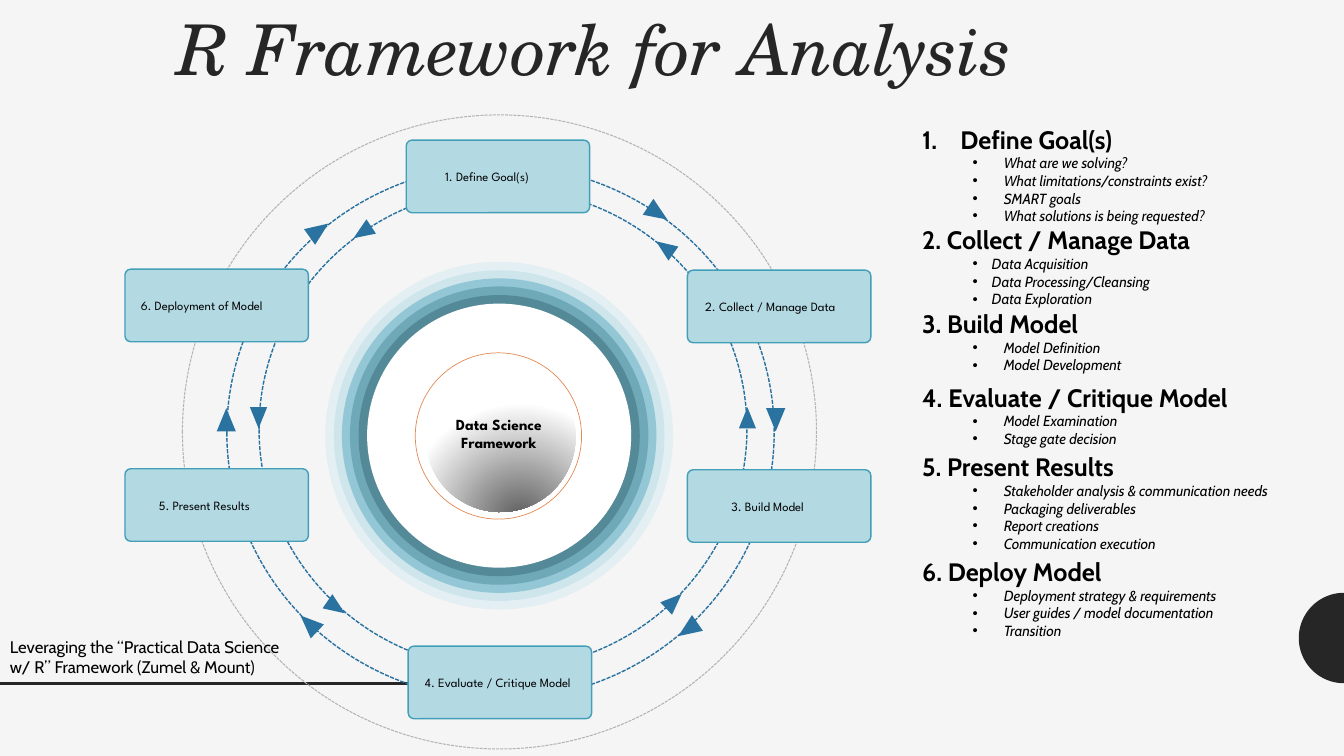
import math
from typing import NamedTuple

import pptx
import pptx.dml.color
import pptx.enum.dml
import pptx.enum.shapes
import pptx.enum.text
import pptx.oxml
import pptx.oxml.ns
import pptx.shapes.autoshape
import pptx.util
from lxml import etree

RGBColor = pptx.dml.color.RGBColor
Shape = pptx.shapes.autoshape.Shape
KIND = pptx.enum.shapes.MSO_SHAPE
ANCHOR = pptx.enum.text.MSO_ANCHOR
ALIGN = pptx.enum.text.PP_ALIGN
Pt = pptx.util.Pt
qn = pptx.oxml.ns.qn

COLS, ROWS = 160, 90
WIDE, HIGH = pptx.util.Inches(13.33), pptx.util.Inches(7.5)

PAPER = RGBColor(0xF5, 0xF5, 0xF5)
INK = RGBColor(0x26, 0x26, 0x26)
BLACK = RGBColor(0, 0, 0)
WHITE = RGBColor(0xFF, 0xFF, 0xFF)
GRAY = RGBColor(0xB3, 0xB3, 0xB3)
BLUE = RGBColor(0x29, 0x71, 0x9F)
ARROW = RGBColor(0x2A, 0x72, 0x9F)
PALE = RGBColor(0xB3, 0xD9, 0xE3)
TEAL = RGBColor(0x43, 0x9E, 0xB7)
MIST = RGBColor(0xD9, 0xEC, 0xF1)
SKY = RGBColor(0x8D, 0xC6, 0xD5)
DEEP = RGBColor(0x32, 0x76, 0x89)
DARK = RGBColor(0x22, 0x4F, 0x5C)
AMBER = RGBColor(0xE2, 0x8B, 0x55)
SERIF, SANS, ROUND = "TeX Gyre Schola", "Cabin", "League Spartan"


class Ring(NamedTuple):
    size: float
    color: RGBColor
    alpha: int


class Head(NamedTuple):
    col: float
    row: float
    turn: float


class Orbit(NamedTuple):
    col: float
    row: float
    wide: float
    high: float
    side: float
    tall: float
    heads: list[Head]


class Step(NamedTuple):
    col: float
    row: float
    inset: float
    text: str


class Topic(NamedTuple):
    row: float
    high: float
    title: str
    points: list[str]
    left: float = 0.81
    hang: float = 0.31
    auto: bool = False


INNER = Orbit(59.88, 51.06, 58.08, 57.24, 2.04, 2.52, [
    Head(80.22, 71.58, 46.7), Head(88.98, 49.74, 0), Head(79.14, 29.46, 305.3),
    Head(43.14, 27.66, 236.4), Head(30.78, 49.74, 180), Head(40.02, 72.3, 124.7)])
OUTER = Orbit(59.58, 51.48, 65.16, 63.6, 2.28, 2.76, [
    Head(36.78, 74.22, 313.3), Head(26.94, 49.98, 0), Head(37.98, 27.42, 54.7),
    Head(78.3, 25.38, 123.6), Head(92.34, 49.98, 180), Head(81.9, 74.94, 235.3)])
RINGS = [Ring(39.36, SKY, 55), Ring(41.4, MIST, 62), Ring(37.44, TEAL, 42),
         Ring(35.52, DEEP, 37), Ring(33.48, DARK, 35), Ring(31.44, WHITE, 100)]
STEPS = [
    Step(48.36, 16.68, 4.44, "1. Define Goal(s)"),
    Step(48.6, 76.92, 1.8, "4. Evaluate / Critique Model"),
    Step(81.84, 55.92, 5.04, "3. Build Model"),
    Step(14.88, 55.8, 3.84, "5. Present Results"),
    Step(81.84, 32.16, 1.92, "2. Collect / Manage Data"),
    Step(14.88, 32.04, 1.68, "6. Deployment of Model")]
TOPICS = [
    Topic(14.16, 13.32, "Define Goal(s)", [
        "What are we solving?", "What limitations/constraints exist?",
        "SMART goals", "What solutions is being requested?"], auto=True),
    Topic(26.16, 13.32, "2. Collect / Manage Data", [
        "Data Acquisition", "Data Processing/Cleansing", "Data Exploration"], 0.69, 0.19),
    Topic(36.12, 9.12, "3. Build Model", ["Model Definition", "Model Development"]),
    Topic(44.88, 9.36, "4. Evaluate / Critique Model", [
        "Model Examination", "Stage gate decision"]),
    Topic(53.16, 13.32, "5. Present Results", [
        "Stakeholder analysis & communication needs", "Packaging deliverables",
        "Report creations", "Communication execution"]),
    Topic(65.64, 11.16, "6. Deploy Model", [
        "Deployment strategy & requirements", "User guides / model documentation",
        "Transition"])]

deck = pptx.Presentation()
deck.slide_width, deck.slide_height = WIDE, HIGH
slide = deck.slides.add_slide(deck.slide_layouts[5])
slide.background.fill.solid()
slide.background.fill.fore_color.rgb = PAPER
shapes = slide.shapes


def across(cols: float) -> int:
    return round(WIDE * cols / COLS)


def down(rows: float) -> int:
    return round(HIGH * rows / ROWS)


def paint(shape: Shape, fill: RGBColor | None, line: RGBColor | None = None,
          weight: float = 1, dash: bool = False, alpha: int = 100) -> None:
    shape.shadow.inherit = False
    if fill is None:
        shape.fill.background()
    else:
        shape.fill.solid()
        shape.fill.fore_color.rgb = fill
        if alpha < 100:
            tint = shape._element.spPr.find(qn("a:solidFill"))[0]
            etree.SubElement(tint, qn("a:alpha")).set("val", str(alpha * 1000))
    if line is None:
        shape.line.fill.background()
    else:
        shape.line.color.rgb = line
        shape.line.width = Pt(weight)
        if dash:
            shape.line.dash_style = pptx.enum.dml.MSO_LINE.SQUARE_DOT


def center(kind: KIND, col: float, row: float, wide: float, high: float) -> Shape:
    return shapes.add_shape(kind, across(col - wide / 2), down(row - high / 2),
                            across(wide), down(high))


def write(para, text: str, size: float, font: str, color: RGBColor = BLACK,
          bold: bool = False, slant: bool = False) -> None:
    run = para.add_run()
    run.text = text
    run.font.size, run.font.name = Pt(size), font
    run.font.bold, run.font.italic = bold, slant
    run.font.color.rgb = color


def bullet(para, left: float, hang: float, auto: bool = False) -> None:
    props = para._p.get_or_add_pPr()
    props.set("marL", str(pptx.util.Inches(left)))
    props.set("indent", str(-pptx.util.Inches(hang)))
    if auto:
        etree.SubElement(props, qn("a:buAutoNum")).set("type", "arabicPeriod")
    else:
        etree.SubElement(props, qn("a:buFont")).set("typeface", "Arial")
        etree.SubElement(props, qn("a:buChar")).set("char", "•")


def frame(col: float, row: float, wide: float, high: float):
    box = shapes.add_textbox(across(col), down(row), across(wide), down(high))
    box.text_frame.word_wrap = True
    return box.text_frame


def draw_orbit(orbit: Orbit) -> None:
    track = center(KIND.OVAL, orbit.col, orbit.row, orbit.wide, orbit.high)
    paint(track, None, BLUE, dash=True)
    for head in orbit.heads:
        tip = center(KIND.ISOSCELES_TRIANGLE, head.col, head.row, orbit.side, orbit.tall)
        tip.rotation = head.turn
        paint(tip, ARROW)


def draw_ring(ring: Ring) -> None:
    paint(center(KIND.OVAL, 59.42, 51.86, ring.size, ring.size),
          ring.color, alpha=ring.alpha)


def draw_step(step: Step) -> None:
    box = shapes.add_shape(KIND.ROUNDED_RECTANGLE, across(step.col), down(step.row),
                           across(21.84), down(8.64))
    box.adjustments[0] = 0.08
    paint(box, PALE, TEAL)
    text = box.text_frame
    text.vertical_anchor = ANCHOR.MIDDLE
    text.margin_left, text.margin_right = across(step.inset), 0
    text.paragraphs[0].alignment = ALIGN.LEFT
    write(text.paragraphs[0], step.text, 9, ROUND)


def draw_topic(topic: Topic) -> None:
    text = frame(108.6, topic.row, 44.4, topic.high)
    first = text.paragraphs[0]
    if topic.auto:
        bullet(first, 0.38, 0.38, True)
    write(first, topic.title, 18, SANS, bold=True)
    for point in topic.points:
        para = text.add_paragraph()
        para.level = 1
        bullet(para, topic.left, topic.hang)
        write(para, point, 10.5, SANS, slant=True)


def draw_core() -> None:
    paint(center(KIND.OVAL, 59.34, 51.9, 19.8, 19.8), WHITE, AMBER, 0.5)
    ball = center(KIND.OVAL, 59.58, 52.02, 17.88, 17.88)
    ball.rotation = 354.2
    paint(ball, WHITE)
    props = ball._element.spPr
    blend = pptx.oxml.parse_xml(
        f'<a:gradFill {pptx.oxml.ns.nsdecls("a")} rotWithShape="1"><a:gsLst>'
        '<a:gs pos="0"><a:srgbClr val="5C5C5C"/></a:gs>'
        '<a:gs pos="100000"><a:srgbClr val="FFFFFF"/></a:gs></a:gsLst>'
        '<a:path path="circle"><a:fillToRect l="62000" t="120000" r="38000" b="-20000"/>'
        '</a:path></a:gradFill>')
    props.replace(props.find(qn("a:solidFill")), blend)
    text = frame(49.92, 48.6, 18.96, 6)
    text.vertical_anchor = ANCHOR.MIDDLE
    text.margin_left = text.margin_right = across(0.5)
    text.margin_top = text.margin_bottom = down(0.5)
    para = text.paragraphs[0]
    para.alignment, para.space_before = ALIGN.CENTER, Pt(10)
    write(para, "Data Science Framework", 11, ROUND, bold=True)


title = shapes.title
title.left, title.top = across(19.92), down(0.96)
title.width, title.height = across(131.52), down(10.56)
title.text_frame.vertical_anchor = ANCHOR.MIDDLE
title.text_frame.auto_size = pptx.enum.text.MSO_AUTO_SIZE.NONE
head = title.text_frame.paragraphs[0]
head.alignment, head.line_spacing = ALIGN.LEFT, 0.9
write(head, "R Framework for Analysis", 50, SERIF, INK, slant=True)

arc = [(across(COLS - 5.38 * math.sin(math.pi * n / 48)),
        down(75.96 - 5.38 * math.cos(math.pi * n / 48))) for n in range(49)]
outline = shapes.build_freeform(*arc[0])
outline.add_line_segments(arc[1:], close=True)
paint(outline.convert_to_shape(), INK)

rule = shapes.add_connector(pptx.enum.shapes.MSO_CONNECTOR.STRAIGHT,
                            0, down(81.36), across(59.04), down(81.36))
rule.line.color.rgb, rule.line.width = INK, Pt(2)
etree.SubElement(rule._element.spPr, qn("a:effectLst"))

draw_orbit(INNER)
paint(center(KIND.OVAL, 59.46, 51.42, 75.48, 75.48), None, GRAY, 0.75, True)
draw_orbit(OUTER)
for step in STEPS:
    draw_step(step)
for ring in RINGS:
    draw_ring(ring)
draw_core()
for topic in TOPICS:
    draw_topic(topic)
write(frame(0, 75.24, 35.28, 6).paragraphs[0],
      "Leveraging the “Practical Data Science w/ R” Framework (Zumel & Mount)", 12, SANS)

deck.save("out.pptx")
